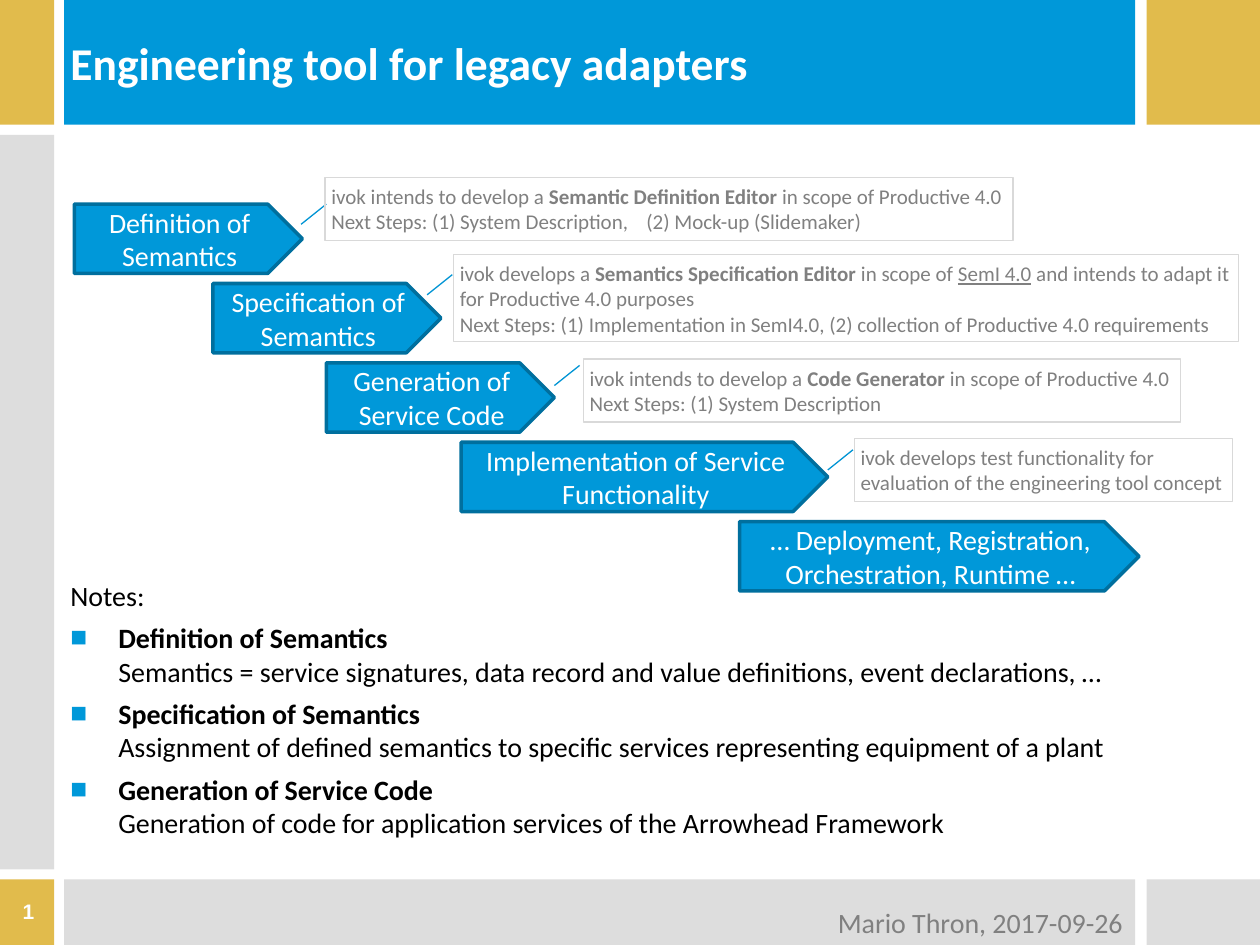
"""Build the slide on the engineering tool for legacy adapters."""
import copy
from dataclasses import dataclass
from typing import Optional

import pptx
import pptx.dml.color
import pptx.enum.shapes
import pptx.enum.text
import pptx.oxml
import pptx.oxml.ns
import pptx.presentation
import pptx.slide
import pptx.util

Inches = pptx.util.Inches
Shapes = pptx.enum.shapes.MSO_SHAPE
Align = pptx.enum.text.PP_ALIGN
Anchor = pptx.enum.text.MSO_ANCHOR


@dataclass(frozen=True)
class Theme:
    blue: str = "0098D9"
    edge: str = "006F9E"
    leader: str = "0094D4"
    gold: str = "E1BB4C"
    panel: str = "DDDDDD"
    frame: str = "D9D9D9"
    muted: str = "808080"
    white: str = "FFFFFF"
    black: str = "000000"
    font: str = "Calibri"
    number_font: str = "Arial"
    title_size: float = 26
    body_size: float = 16
    small_size: float = 12


THEME = Theme()


@dataclass(frozen=True)
class Box:
    left: float
    top: float
    width: float
    height: float

    def lengths(self) -> tuple:
        return tuple(Inches(value) for value in (self.left, self.top, self.width, self.height))


@dataclass(frozen=True)
class Step:
    label: str
    left: float
    width: float


@dataclass(frozen=True)
class Span:
    text: str
    bold: bool = False
    underline: bool = False


@dataclass(frozen=True)
class Callout:
    box: Box
    leader_left: float
    leader_top: float
    lines: tuple
    wrap: bool = False


@dataclass(frozen=True)
class Note:
    heading: str
    explanation: str


PANELS = (
    (Box(0, 0, 0.43, 0.99), THEME.gold),
    (Box(0.51, 0, 8.5, 0.99), THEME.blue),
    (Box(9.1, 0, 0.9, 0.99), THEME.gold),
    (Box(0, 1.07, 0.43, 5.83), THEME.panel),
    (Box(0, 6.98, 0.43, 0.52), THEME.gold),
    (Box(0.51, 6.98, 8.5, 0.52), THEME.panel),
    (Box(9.1, 6.98, 0.9, 0.52), THEME.panel),
)
STEP_TOP, STEP_PITCH, STEP_HEIGHT = 1.62, 0.63, 0.55
STEPS = (
    Step("Definition of Semantics", 0.59, 1.81),
    Step("Specification of Semantics", 1.69, 1.81),
    Step("Generation of Service Code", 2.59, 1.81),
    Step("Implementation of Service Functionality", 3.66, 2.91),
    Step("… Deployment, Registration, Orchestration, Runtime …", 5.87, 3.17),
)
LEADER_WIDTH, LEADER_RISE = 0.2, 0.16
CALLOUTS = (
    Callout(Box(2.58, 1.41, 5.46, 0.5), 2.39, 1.78, (
        (Span("ivok intends to develop a "), Span("Semantic Definition Editor ", bold=True),
         Span("in scope of Productive 4.0")),
        (Span("Next Steps: (1) System Description,\t(2) Mock-up (Slidemaker)"),))),
    Callout(Box(3.6, 2.02, 6.23, 0.69), 3.39, 2.34, (
        (Span("ivok develops a "), Span("Semantics Specification Editor ", bold=True),
         Span("in scope of "), Span("SemI 4.0", underline=True),
         Span(" and intends to adapt it for Productive 4.0 purposes")),
        (Span("Next Steps: (1) Implementation in SemI4.0, "
              "(2) collection of Productive 4.0 requirements"),)), wrap=True),
    Callout(Box(4.63, 2.85, 4.74, 0.5), 4.4, 3.06, (
        (Span("ivok intends to develop a "), Span("Code Generator ", bold=True),
         Span("in scope of Productive 4.0")),
        (Span("Next Steps: (1) System Description"),))),
    Callout(Box(6.78, 3.48, 3, 0.5), 6.57, 3.73, (
        (Span("ivok develops test functionality for"),),
        (Span("evaluation of the engineering tool concept"),))),
)
NOTES = (
    Note("Definition of Semantics",
         "Semantics = service signatures, data record and value definitions, event declarations, …"),
    Note("Specification of Semantics",
         "Assignment of defined semantics to specific services representing equipment of a plant"),
    Note("Generation of Service Code",
         "Generation of code for application services of the Arrowhead Framework"),
)


def color(value: str) -> pptx.dml.color.RGBColor:
    return pptx.dml.color.RGBColor.from_string(value)


def style_runs(paragraph, size: float, ink: str, font: str = THEME.font, bold: bool = False) -> None:
    for run in paragraph.runs:
        run.font.name, run.font.size, run.font.bold = font, pptx.util.Pt(size), bold
        run.font.color.rgb = color(ink)


def prepare_frame(shape, anchor=Anchor.TOP, wrap: bool = True, inset: float = 0.05):
    frame = shape.text_frame
    frame.word_wrap, frame.vertical_anchor = wrap, anchor
    frame.margin_left = frame.margin_right = Inches(inset)
    frame.margin_top = frame.margin_bottom = Inches(inset)
    return frame


def add_shape(slide: pptx.slide.Slide, kind, box: Box, fill: Optional[str],
              line: Optional[str] = None, weight: float = 0):
    shape = slide.shapes.add_shape(kind, *box.lengths())
    shape.shadow.inherit = False
    if fill:
        shape.fill.solid()
        shape.fill.fore_color.rgb = color(fill)
    else:
        shape.fill.background()
    if line:
        shape.line.color.rgb, shape.line.width = color(line), pptx.util.Pt(weight)
    else:
        shape.line.fill.background()
    return shape


def add_label(slide: pptx.slide.Slide, box: Box, text: str, size: float, ink: str,
              anchor=Anchor.TOP, align=Align.LEFT, font: str = THEME.font,
              bold: bool = False, wrap: bool = False) -> None:
    frame = prepare_frame(slide.shapes.add_textbox(*box.lengths()), anchor, wrap)
    frame.text = text
    frame.paragraphs[0].alignment = align
    style_runs(frame.paragraphs[0], size, ink, font, bold)


def add_step(slide: pptx.slide.Slide, step: Step, top: float) -> None:
    box = Box(step.left, top, step.width, STEP_HEIGHT)
    shape = add_shape(slide, Shapes.PENTAGON, box, THEME.blue, THEME.edge, 2)
    frame = prepare_frame(shape, Anchor.MIDDLE)
    frame.text = step.label
    frame.paragraphs[0].alignment = Align.CENTER
    style_runs(frame.paragraphs[0], THEME.body_size, THEME.white)


def add_xml(parent, tag: str, **attributes: str):
    return pptx.oxml.ns and add_child(parent, pptx.oxml.ns.qn(tag), attributes)


def add_child(parent, name: str, attributes: dict):
    child = parent.makeelement(name, attributes)
    parent.append(child)
    return child


def add_callout(slide: pptx.slide.Slide, callout: Callout) -> None:
    left, top = callout.leader_left, callout.leader_top
    leader = slide.shapes.add_connector(
        pptx.enum.shapes.MSO_CONNECTOR.STRAIGHT, Inches(left), Inches(top),
        Inches(left + LEADER_WIDTH), Inches(top - LEADER_RISE))
    leader.line.color.rgb, leader.line.width = color(THEME.leader), pptx.util.Pt(0.75)
    add_xml(leader._element.spPr, "a:effectLst")
    shape = add_shape(slide, Shapes.RECTANGLE, callout.box, None, THEME.frame, 0.75)
    frame = prepare_frame(shape, wrap=callout.wrap)
    for index, spans in enumerate(callout.lines):
        paragraph = frame.add_paragraph() if index else frame.paragraphs[0]
        paragraph.alignment = Align.LEFT
        for span in spans:
            run = paragraph.add_run()
            run.text = span.text
        style_runs(paragraph, THEME.small_size, THEME.muted)
        for run, span in zip(paragraph.runs, spans):
            run.font.bold, run.font.underline = span.bold, span.underline
        if any("\t" in span.text for span in spans):
            tabs = add_xml(paragraph._p.get_or_add_pPr(), "a:tabLst")
            add_xml(tabs, "a:tab", pos=str(Inches(2.5)), algn="l")


def add_notes(slide: pptx.slide.Slide) -> None:
    frame = prepare_frame(slide.shapes.add_textbox(*Box(0.51, 4.54, 9.06, 2.44).lengths()))
    frame.text = "Notes:"
    for note in NOTES:
        paragraph = frame.add_paragraph()
        paragraph.text = f"{note.heading}\v{note.explanation}"
    for paragraph in frame.paragraphs:
        paragraph.space_before = pptx.util.Pt(5)
        style_runs(paragraph, THEME.body_size, THEME.black)
    for paragraph in frame.paragraphs[1:]:
        heading = paragraph.runs[0]
        heading.font.bold = True
        line_break = paragraph._p.find(pptx.oxml.ns.qn("a:br"))
        line_break.append(copy.deepcopy(heading._r.rPr))
        properties = paragraph._p.get_or_add_pPr()
        properties.set("marL", str(Inches(0.38)))
        properties.set("indent", str(-Inches(0.38)))
        add_xml(add_xml(properties, "a:buClr"), "a:srgbClr", val=THEME.blue)
        add_xml(properties, "a:buFont", typeface=THEME.number_font)
        add_xml(properties, "a:buChar", char="■")


def main() -> None:
    presentation = pptx.Presentation()
    presentation.slide_width, presentation.slide_height = Inches(10), Inches(7.5)
    slide = presentation.slides.add_slide(presentation.slide_layouts[6])
    for box, fill in PANELS:
        add_shape(slide, Shapes.RECTANGLE, box, fill)
    add_label(slide, Box(0.51, 0, 8.5, 0.99), "Engineering tool for legacy adapters",
              THEME.title_size, THEME.white, Anchor.MIDDLE, bold=True, wrap=True)
    add_label(slide, Box(0.13, 7.1, 0.18, 0.27), "1", THEME.small_size, THEME.white,
              Anchor.MIDDLE, Align.CENTER, THEME.number_font, bold=True)
    for index, step in enumerate(STEPS):
        add_step(slide, step, STEP_TOP + index * STEP_PITCH)
    add_notes(slide)
    for callout in CALLOUTS:
        add_callout(slide, callout)
    add_label(slide, Box(6.6, 7.14, 2.38, 0.36), "Mario Thron, 2017-09-26",
              THEME.body_size, THEME.muted)
    presentation.save("out.pptx")


if __name__ == "__main__":
    main()
